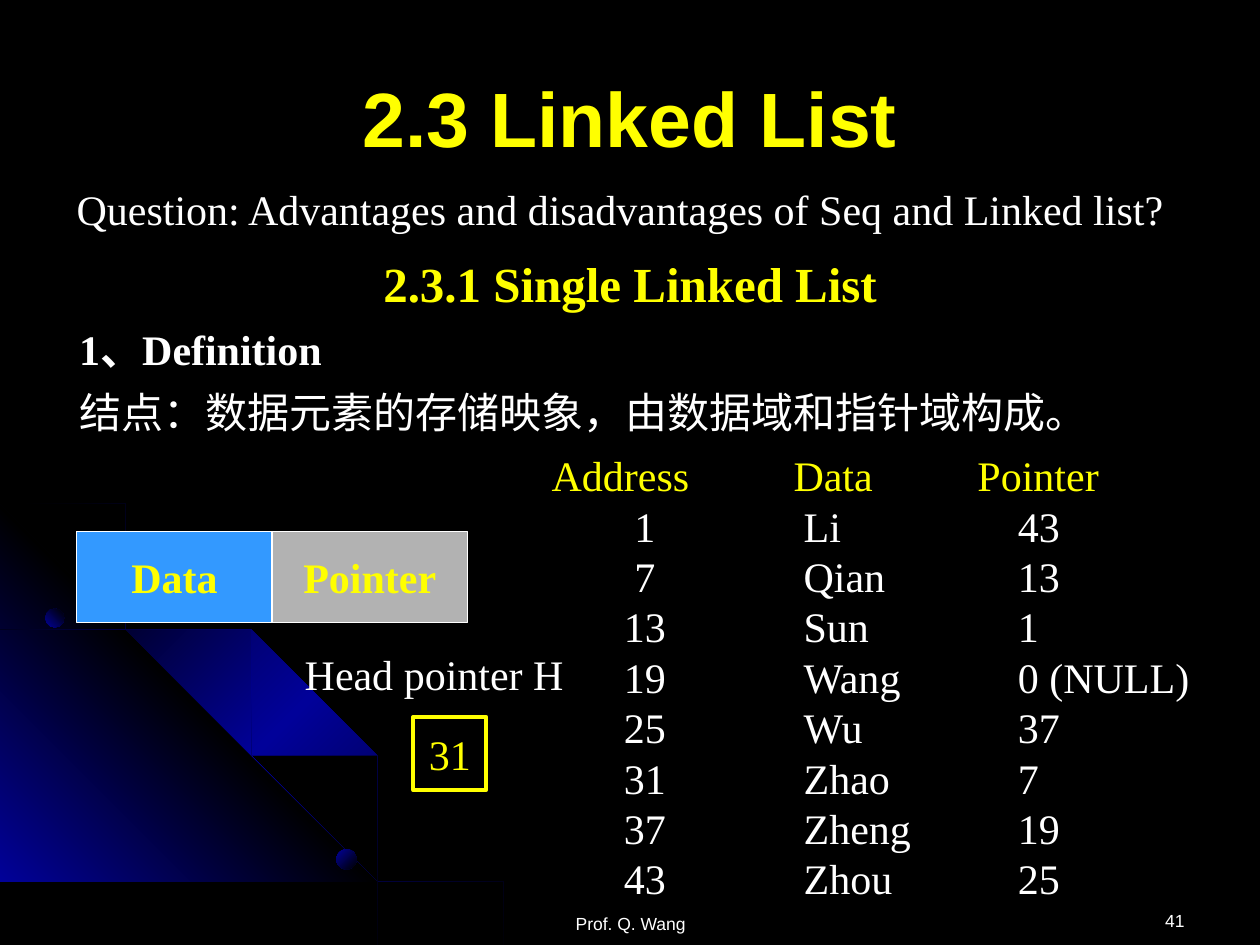
from lxml import etree
from pptx import Presentation, util as u
from pptx.dml.color import RGBColor
from pptx.enum import shapes, text
from pptx.oxml.ns import qn

HUE = {"black": "000000", "navy": "010199", "white": "FFFFFF",
       "yellow": "FFFF00", "blue": "3399FF", "gray": "B2B2B2"}
SERIF, SANS = "Times New Roman", "Arial"
AL, MID = text.PP_ALIGN, text.MSO_ANCHOR.MIDDLE
GLOW, FADE = ("black", "navy", "black"), ("navy", "black")

# Centre lines of the decorative arcs
ARCS = [
    [(0, 4.36), (0.57, 4.48), (0.97, 4.6), (1.35, 4.77), (1.73, 4.98),
     (2.08, 5.22), (2.41, 5.49), (2.71, 5.79), (2.99, 6.12), (3.24, 6.48),
     (3.38, 6.73), (3.51, 6.98), (3.61, 7.23), (3.71, 7.49)],
    [(0, 4.76), (0.4, 4.89), (0.78, 5.06), (1.16, 5.27), (1.51, 5.5),
     (1.83, 5.77), (2.14, 6.07), (2.41, 6.4), (2.65, 6.76), (2.86, 7.13),
     (2.95, 7.31), (3.02, 7.49)],
    [(0, 4.43), (0.38, 4.56), (0.75, 4.74), (1.1, 4.93), (1.43, 5.17),
     (1.74, 5.44), (2.03, 5.74), (2.28, 6.04), (2.53, 6.4), (2.68, 6.66),
     (2.81, 6.93), (2.93, 7.21), (3.02, 7.49)],
]
WEDGE = [(0, 4.27), (3.22, 7.49), (0, 7.49)]
# left, top, size, gradient angle
DOTS = [(0.36, 4.83, 0.15, 315), (2.67, 6.74, 0.16, 45), (1.37, 4.73, 0.21, 315)]

TITLE = "2.3 Linked List"
# place, words, size, colour, bold, alignment, font
LABELS = [
    ((0.51, 1.41, 8.84, 0.5), "Question: Advantages and disadvantages of Seq and Linked list?",
     24, "white", False, AL.LEFT, SERIF),
    ((2.94, 1.96, 4.12, 0.57), "2.3.1 Single Linked List", 28, "yellow", True, AL.CENTER, SERIF),
    ((0.53, 2.52, 3.68, 0.5), "1、Definition", 24, "white", True, AL.LEFT, SERIF),
    ((0.53, 3.02, 8.2, 0.5), "结点：数据元素的存储映象，由数据域和指针域构成。",
     24, "white", False, AL.LEFT, SERIF),
    ((2.32, 5.1, 2.26, 0.5), "Head pointer H", 24, "white", False, AL.LEFT, SERIF),
    ((3.42, 7.2, 3.17, 0.26), "Prof. Q. Wang", 10, "white", False, AL.CENTER, SANS),
    ((7.17, 7.18, 2.33, 0.26), "41", 10, "white", False, AL.RIGHT, SANS),
]
# place, words, fill, line colour, line width, bold
CELLS = [
    ((2.16, 4.22, 1.55, 0.72), "Pointer", "gray", "white", 0.75, True),
    ((0.61, 4.22, 1.55, 0.72), "Data", "blue", "white", 0.75, True),
    ((3.28, 5.69, 0.58, 0.58), "31", None, "yellow", 2.25, False),
]
HEAD = ("Address", "Data", "Pointer")
NODES = [(1, "Li", "43"), (7, "Qian", "13"), (13, "Sun", "1"),
         (19, "Wang", "0 (NULL)"), (25, "Wu", "37"), (31, "Zhao", "7"),
         (37, "Zheng", "19"), (43, "Zhou", "25")]
HEADTABS = [(1.92, "l"), (3.38, "l")]
NODETABS = [(0.74, "ctr"), (2.0, "l"), (3.7, "l")]


def rgb(name):
    return RGBColor.from_string(HUE[name])


def box(place):
    return [u.Inches(v) for v in place]


def style(para, size, color, bold=False, align=AL.LEFT, face=SERIF):
    para.alignment = align
    para.line_spacing = u.Pt(size * 1.2)
    font = para.font
    font.name, font.size, font.bold = face, u.Pt(size), bold
    font.color.rgb = rgb(color)


def blend(shape, names, angle):
    """Fill with evenly spaced gradient stops, without line or shadow."""
    shape.shadow.inherit = False
    shape.line.fill.background()
    shape.fill.gradient()
    grad = shape._element.spPr.find(qn("a:gradFill"))
    stops = grad.find(qn("a:gsLst"))
    for stop in list(stops):
        stops.remove(stop)
    for i, name in enumerate(names):
        stop = etree.SubElement(stops, qn("a:gs"), pos=str(100000 * i // (len(names) - 1)))
        etree.SubElement(stop, qn("a:srgbClr"), val=HUE[name])
    grad.find(qn("a:lin")).set("ang", str(angle * 60000))


def outline(slide, points):
    pen = slide.shapes.build_freeform(*points[0], scale=u.Inches(1))
    pen.add_line_segments(points[1:], close=True)
    return pen.convert_to_shape()


def band(points, half=0.01):
    """Widen a centre line into a closed strip."""
    upper = [(x + half, y - half) for x, y in points]
    lower = [(max(0, x - half), y + half) for x, y in reversed(points)]
    return [(0, upper[0][1])] + upper[1:] + lower


def label(slide, place, words, *look):
    frame = slide.shapes.add_textbox(*box(place)).text_frame
    frame.word_wrap = False
    frame.vertical_anchor = MID
    frame.text = words
    style(frame.paragraphs[0], *look)


def cell(slide, place, words, fill, edge, width, bold):
    shape = slide.shapes.add_shape(shapes.MSO_SHAPE.RECTANGLE, *box(place))
    shape.shadow.inherit = False
    if fill:
        shape.fill.solid()
        shape.fill.fore_color.rgb = rgb(fill)
    else:
        shape.fill.background()
    shape.line.color.rgb = rgb(edge)
    shape.line.width = u.Pt(width)
    frame = shape.text_frame
    frame.word_wrap = False
    frame.vertical_anchor = MID
    frame.text = words
    style(frame.paragraphs[0], 24, "yellow", bold, AL.CENTER)


def row(para, words, tabs, color):
    para.text = words
    stops = etree.SubElement(para._p.get_or_add_pPr(), qn("a:tabLst"))
    for pos, kind in tabs:
        etree.SubElement(stops, qn("a:tab"), pos=str(u.Inches(pos)), algn=kind)
    style(para, 24, color)


def listing(slide):
    frame = slide.shapes.add_textbox(*box((4.28, 3.52, 5.5, 3.69))).text_frame
    frame.word_wrap = True
    row(frame.paragraphs[0], "\t".join(HEAD), HEADTABS, "yellow")
    for node in NODES:
        words = "".join(f"\t{part}" for part in node)
        row(frame.add_paragraph(), words, NODETABS, "white")


def main():
    prs = Presentation()
    prs.slide_width, prs.slide_height = u.Inches(10), u.Inches(7.5)
    slide = prs.slides.add_slide(prs.slide_layouts[5])
    back = slide.background.fill
    back.solid()
    back.fore_color.rgb = rgb("black")

    blend(outline(slide, WEDGE), ("navy", "black", "navy"), 315)
    for arc in ARCS:
        blend(outline(slide, band(arc)), GLOW, 45)
    for x, y, size, angle in DOTS:
        dot = slide.shapes.add_shape(shapes.MSO_SHAPE.OVAL, *box((x, y, size, size)))
        blend(dot, FADE, angle)

    title = slide.shapes.title
    title.left, title.top, title.width, title.height = box((0.5, 0.3, 9, 1.25))
    title.text_frame.text = TITLE
    title.text_frame.vertical_anchor = MID
    style(title.text_frame.paragraphs[0], 44, "yellow", True, AL.CENTER, SANS)

    for item in CELLS:
        cell(slide, *item)
    for item in LABELS:
        label(slide, *item)
    listing(slide)
    prs.save("out.pptx")


if __name__ == "__main__":
    main()
